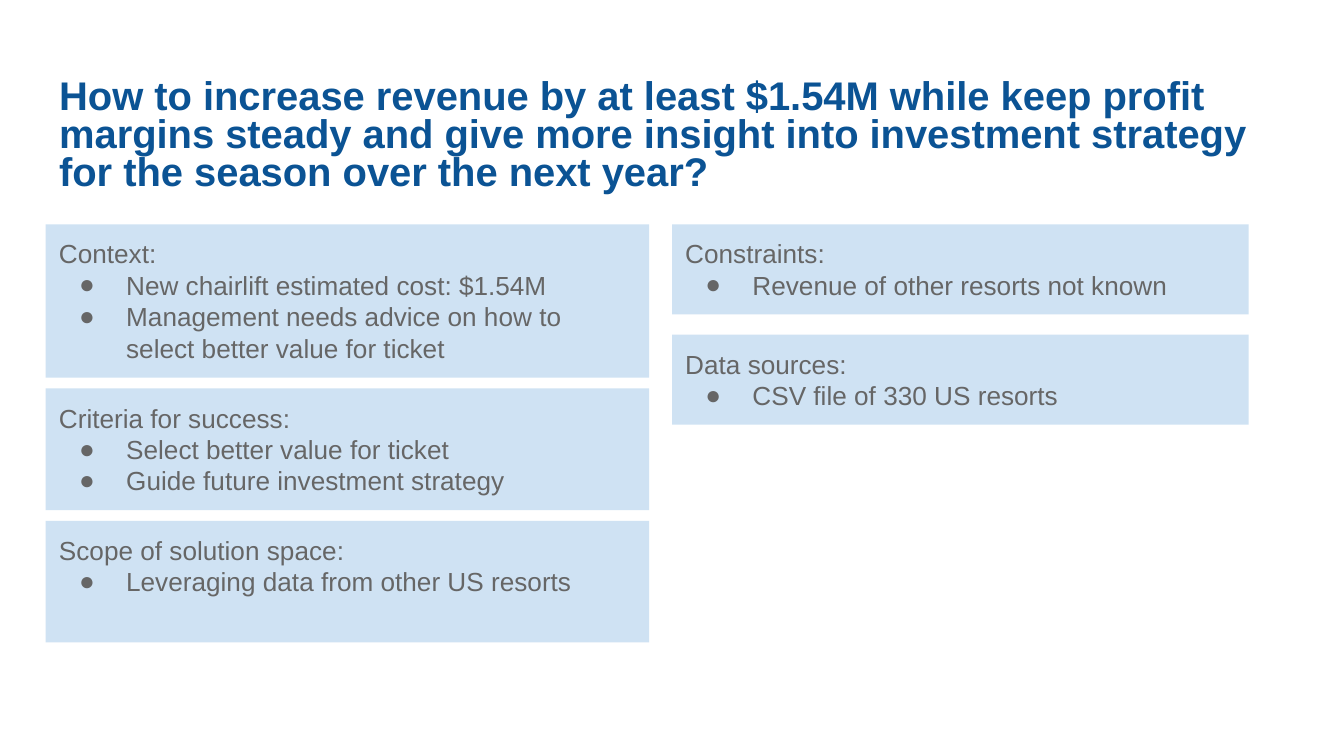
from dataclasses import dataclass

from lxml import etree
from pptx import Presentation
from pptx import util as u
from pptx.dml.color import RGBColor
from pptx.enum import shapes, text
from pptx.oxml import ns


@dataclass(frozen=True)
class Theme:
    """Colours, type sizes and spacing shared by the slide."""

    font: str = "Arial"
    title_color: str = "0B5394"
    panel_color: str = "CFE2F3"
    body_color: str = "666666"
    title_size: float = 21.4
    body_size: float = 14
    inset: float = 0.1
    line_height: float = 0.47 / 2


THEME = Theme()

LEFT_PANELS = [
    ("Context:", ["New chairlift estimated cost: $1.54M",
                  "Management needs advice on how to select better value for ticket"], 4),
    ("Criteria for success:", ["Select better value for ticket",
                               "Guide future investment strategy"], 3),
    ("Scope of solution space:", ["Leveraging data from other US resorts"], 3),
]
RIGHT_PANELS = [
    ("Constraints:", ["Revenue of other resorts not known"], 2),
    ("Data sources:", ["CSV file of 330 US resorts"], 2),
]


def prepare_frame(frame):
    """Set wrapping, insets and top anchoring of a text frame."""
    frame.word_wrap = True
    frame.auto_size = text.MSO_AUTO_SIZE.NONE
    frame.vertical_anchor = text.MSO_ANCHOR.TOP
    frame.margin_left = frame.margin_right = u.Inches(THEME.inset)
    frame.margin_top = frame.margin_bottom = u.Inches(THEME.inset)


def add_bullet(paragraph):
    """Give a paragraph a hanging round bullet."""
    properties = paragraph._p.get_or_add_pPr()
    properties.set("marL", str(u.Inches(0.5)))
    properties.set("indent", str(u.Inches(-0.35)))
    color = etree.SubElement(properties, ns.qn("a:buClr"))
    etree.SubElement(color, ns.qn("a:srgbClr"), val=THEME.body_color)
    etree.SubElement(properties, ns.qn("a:buFont"), typeface=THEME.font)
    etree.SubElement(properties, ns.qn("a:buChar"), char="●")


def write_text(paragraph, content, *, size=THEME.body_size, color=THEME.body_color,
               bold=False, bullet=False, spacing=1.0):
    """Write one formatted paragraph."""
    paragraph.alignment = text.PP_ALIGN.LEFT
    paragraph.line_spacing = spacing
    paragraph.space_before = paragraph.space_after = u.Pt(0)
    if bullet:
        add_bullet(paragraph)
    run = paragraph.add_run()
    run.text = content
    run.font.name = THEME.font
    run.font.size = u.Pt(size)
    run.font.bold = bold
    run.font.color.rgb = RGBColor.from_string(color)


def place_title(slide, content, left, top, width, height):
    """Place and format the title placeholder in the given box."""
    title = slide.shapes.title
    title.left, title.top = u.Inches(left), u.Inches(top)
    title.width, title.height = u.Inches(width), u.Inches(height)
    prepare_frame(title.text_frame)
    write_text(title.text_frame.paragraphs[0], content, size=THEME.title_size,
               color=THEME.title_color, bold=True, spacing=0.8)


def add_panel(slide, heading, points, left, top, width, height):
    """Add a tinted panel with a heading and bulleted points."""
    panel = slide.shapes.add_shape(
        shapes.MSO_SHAPE.RECTANGLE,
        u.Inches(left), u.Inches(top), u.Inches(width), u.Inches(height))
    panel.shadow.inherit = False
    panel.fill.solid()
    panel.fill.fore_color.rgb = RGBColor.from_string(THEME.panel_color)
    panel.line.fill.background()
    frame = panel.text_frame
    prepare_frame(frame)
    write_text(frame.paragraphs[0], heading)
    for point in points:
        write_text(frame.add_paragraph(), point, bullet=True)


def add_column(slide, panels, left, top, width, gap):
    """Stack panels downwards, each as tall as its number of lines."""
    for heading, points, lines in panels:
        height = 2 * THEME.inset + lines * THEME.line_height
        add_panel(slide, heading, points, left, top, width, height)
        top += height + gap


def main():
    """Build and save the presentation."""
    presentation = Presentation()
    presentation.slide_width = u.Inches(10)
    presentation.slide_height = u.Inches(10 * 9 / 16)
    slide = presentation.slides.add_slide(presentation.slide_layouts[5])
    place_title(
        slide,
        "How to increase revenue by at least $1.54M while keep profit margins steady "
        "and give more insight into investment strategy for the season over the next year?",
        0.34, 0.49, 9.32, 1.04)
    add_column(slide, LEFT_PANELS, 0.34, 1.67, 4.49, gap=0.08)
    add_column(slide, RIGHT_PANELS, 5, 1.67, 4.29, gap=0.15)
    presentation.save("out.pptx")


if __name__ == "__main__":
    main()
